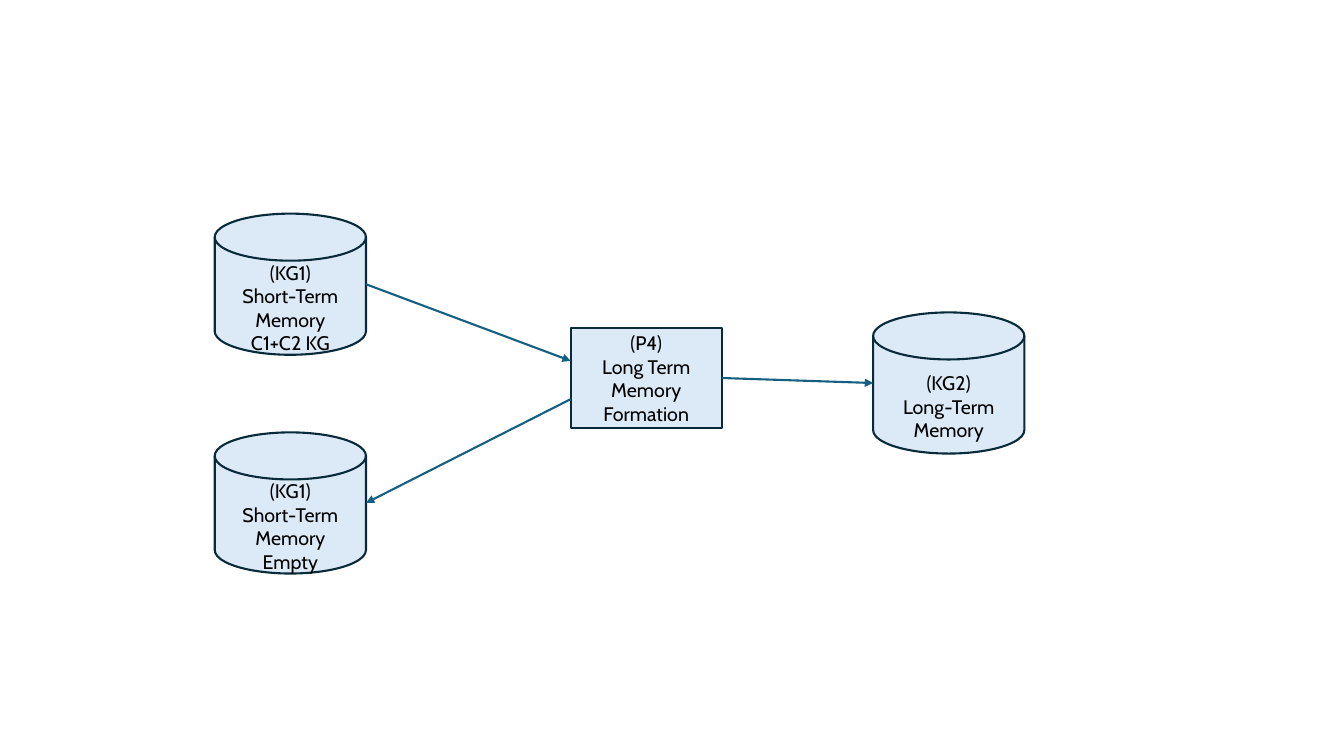
from dataclasses import dataclass

from lxml.etree import SubElement
from pptx import Presentation
from pptx.dml.color import RGBColor
from pptx.enum.shapes import MSO_CONNECTOR as Connector, MSO_SHAPE as Shape
from pptx.enum.text import MSO_ANCHOR as Anchor, PP_ALIGN as Align
from pptx.oxml.ns import qn
from pptx.util import Inches, Pt


@dataclass(frozen=True)
class Theme:
    fill: RGBColor = RGBColor.from_string("DCEAF7")
    outline: RGBColor = RGBColor.from_string("092A39")
    arrow: RGBColor = RGBColor.from_string("156082")
    text: RGBColor = RGBColor.from_string("000000")
    font: str = "Cabin"
    text_size: Pt = Pt(14)
    line_width: Pt = Pt(1.5)


THEME = Theme()
NODE_WIDTH = 1.5
STORE_HEIGHT = 1.4
PROCESS_HEIGHT = 1
RIGHT_SIDE = 3


def add_node(slide, kind, left, top, height, text):
    shape = slide.shapes.add_shape(
        kind, Inches(left), Inches(top), Inches(NODE_WIDTH), Inches(height)
    )
    shape.shadow.inherit = False
    shape.fill.solid()
    shape.fill.fore_color.rgb = THEME.fill
    shape.line.color.rgb = THEME.outline
    shape.line.width = THEME.line_width
    frame = shape.text_frame
    frame.word_wrap = True
    frame.vertical_anchor = Anchor.MIDDLE
    frame.text = text
    for paragraph in frame.paragraphs:
        paragraph.alignment = Align.CENTER
        paragraph.font.name = THEME.font
        paragraph.font.size = THEME.text_size
        paragraph.font.color.rgb = THEME.text
    return shape


def add_store(slide, left, top, lines):
    store = add_node(
        slide, Shape.FLOWCHART_MAGNETIC_DISK, left, top, STORE_HEIGHT, "\n".join(lines)
    )
    store.text_frame.margin_top = Inches(0.28)
    return store


def side_middle(shape, right=False):
    x = shape.left + shape.width if right else shape.left
    return x, shape.top + shape.height // 2


def add_arrow(slide, start, end):
    arrow = slide.shapes.add_connector(Connector.STRAIGHT, *start, *end)
    arrow.line.color.rgb = THEME.arrow
    arrow.line.width = THEME.line_width
    SubElement(arrow.line._get_or_add_ln(), qn("a:tailEnd"), type="triangle")
    SubElement(arrow._element.spPr, qn("a:effectLst"))
    return arrow


def main():
    presentation = Presentation()
    presentation.slide_width = Inches(13.33)
    presentation.slide_height = Inches(7.5)
    slide = presentation.slides.add_slide(presentation.slide_layouts[6])

    formation = add_node(
        slide, Shape.RECTANGLE, 5.66, 3.25, PROCESS_HEIGHT,
        "(P4)\vLong Term Memory Formation",
    )
    emptied = add_store(slide, 2.13, 4.29, ["(KG1)", "Short-Term Memory", "Empty"])
    filled = add_store(slide, 2.13, 2.12, ["(KG1)", "Short-Term Memory", "C1+C2 KG"])
    long_term = add_store(slide, 8.66, 3.1, ["(KG2)", "Long-Term Memory"])

    add_arrow(slide, side_middle(filled, right=True), (formation.left, Inches(3.58)))
    add_arrow(slide, (formation.left, Inches(3.96)), side_middle(emptied, right=True))
    storing = add_arrow(
        slide, side_middle(formation, right=True), side_middle(long_term)
    )
    storing.begin_connect(formation, RIGHT_SIDE)

    presentation.save("out.pptx")


if __name__ == "__main__":
    main()
